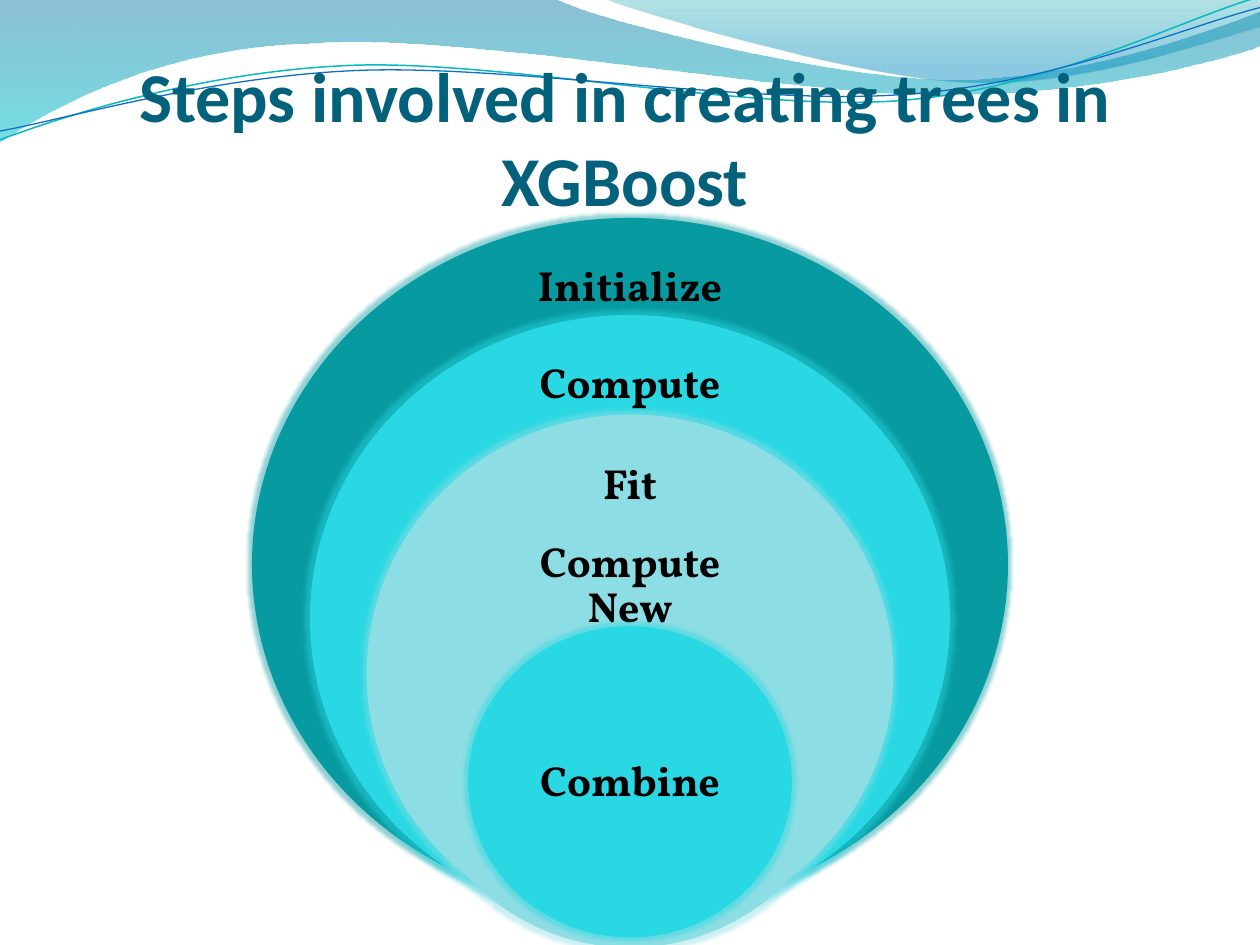
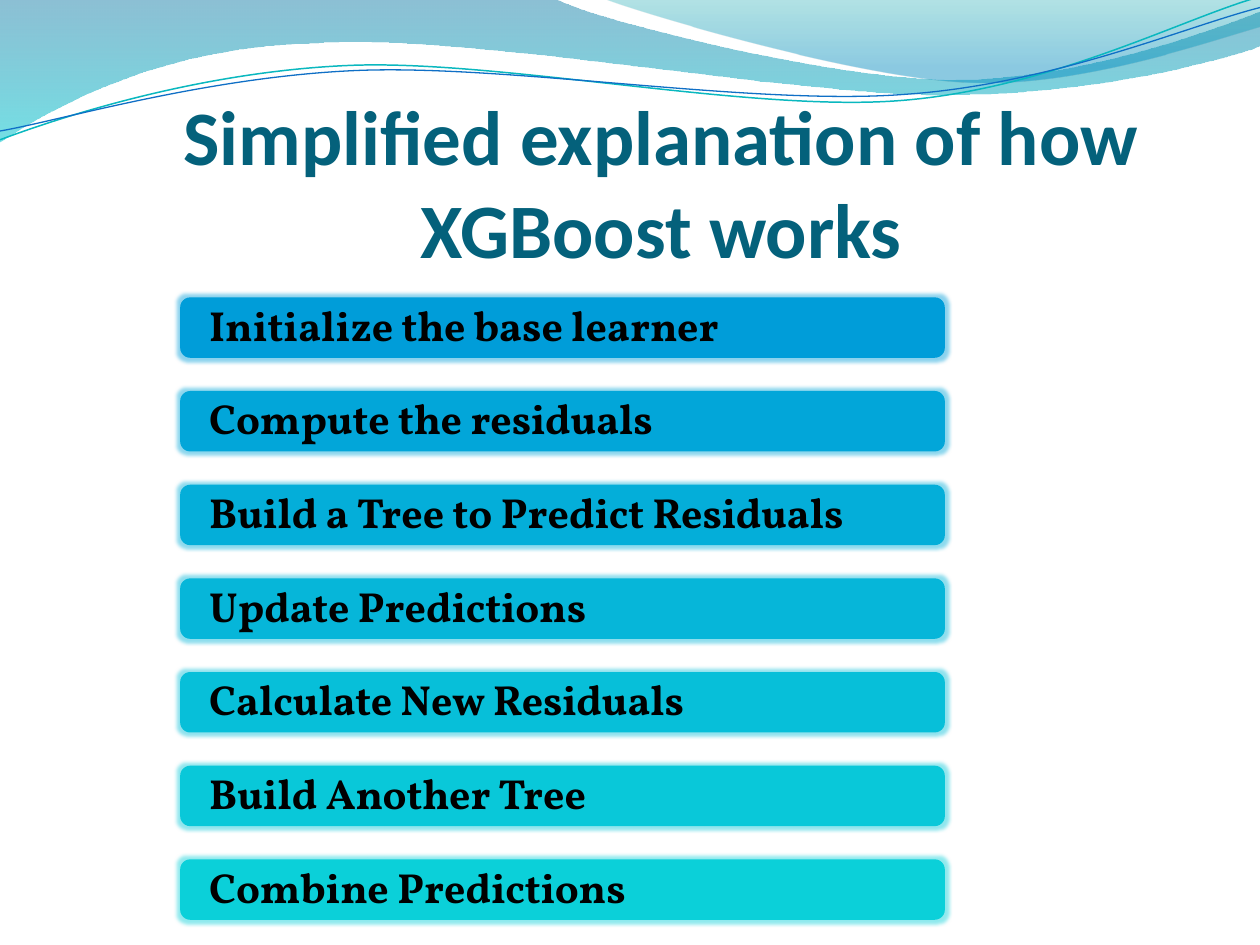
from dataclasses import dataclass
from lxml.etree import SubElement as Sub
from pptx import Presentation
from pptx.dml.color import RGBColor as RGB
from pptx.enum.shapes import MSO_SHAPE as Kind
from pptx.enum.text import MSO_ANCHOR as Anchor, PP_ALIGN as Align
from pptx.oxml.ns import qn
from pptx.util import Inches, Pt


@dataclass(frozen=True)
class Theme:
    title: str = "04617B"
    ink: str = "000000"
    panel: str = "FFFFFF"
    teal: str = "089AA1"
    cyan: str = "2AD8E3"
    pale: str = "8CDEE4"
    first: str = "009DD9"
    last: str = "0BD0D9"
    head_font: str = "Calibri"
    body_font: str = "Vollkorn"
    body_size: int = 24
    panel_alpha: int = 90
    glow: float = 0.06
    glow_alpha: int = 45


T = Theme()

# Gradient stops: position %, colour, opacity %
BAND = [(0, "0074A1", 45), (100, "00C6CF", 55)]
CREST = [(0, "00A1A9", 30), (80, "008BBF", 45)]

# Each row is one segment: two numbers for a line, six for a curve
BAND_PATH = [
    (0, 0), (4.4, -0.01),
    (4.76, 0.17, 6.64, 0.63, 7.58, 0.63),
    (8.53, 0.63, 9.58, 0.26, 10, 0.09),
    (10.01, 0.36),
    (9.83, 0.44, 8.7, 0.76, 7.46, 0.75),
    (6.22, 0.75, 3.82, 0.28, 2.57, 0.34),
    (1.29, 0.36, 0.46, 0.83, -0.01, 1.13),
    (0, 0),
]
CREST_PATH = [
    (4.79, -0.01),
    (5.09, 0.11, 6.82, 0.62, 7.69, 0.65),
    (8.56, 0.69, 9.61, 0.32, 10, 0.21),
    (10, 0), (4.79, -0.01),
]
STRANDS = [
    ("0AB8BF", 0.85, [
        (0, 1.11),
        (0.48, 0.93, 1.58, 0.57, 2.77, 0.52),
        (3.95, 0.47, 5.93, 0.89, 7.13, 0.8),
        (8.33, 0.71, 9.38, 0.15, 9.98, -0.02)]),
    ("0F6FC6", 0.75, [
        (0, 1.04),
        (0.47, 0.96, 1.64, 0.61, 2.83, 0.56),
        (4.03, 0.51, 5.97, 0.84, 7.17, 0.75),
        (8.36, 0.67, 9.41, 0.21, 10, 0.06)]),
]

# Ring: label, colour, top, width, height; label top, width, height.
# Tops are relative to the box of the rings.
RINGS = [
    ("Initialize", T.teal, 0, 6, 5.5, 0.28, 2.25, 0.55),
    ("Compute", T.cyan, 0.77, 5.08, 4.82, 1.05, 2.19, 0.55),
    ("Fit", T.pale, 1.56, 4.18, 4.1, 1.84, 2.17, 0.57),
    ("Compute New", T.pale, 2.3, 3.5, 3.49, 2.61, 1.89, 0.63),
    ("Combine", T.cyan, 3.24, 2.57, 2.47, 3.86, 1.82, 1.24),
]
STEPS = [
    "Initialize the base learner",
    "Compute the residuals",
    "Build a Tree to Predict Residuals",
    "Update Predictions",
    "Calculate New Residuals",
    "Build Another Tree",
    "Combine Predictions",
]


def inch(*nums):
    return [Inches(n) for n in nums]


def tint(parent, color, alpha):
    node = Sub(parent, qn("a:srgbClr"), val=color)
    Sub(node, qn("a:alpha"), val=str(alpha * 1000))


def bend(shape, rows):
    """Turn the line segments of a freeform into curves where a row has six numbers."""
    lines = list(shape._element.iter(qn("a:lnTo")))
    for line, row in zip(lines, rows[1:]):
        if len(row) == 2:
            continue
        line.tag = qn("a:cubicBezTo")
        line.remove(line[0])
        for x, y in zip(row[::2], row[1::2]):
            Sub(line, qn("a:pt"), x=str(Inches(x) - shape.left),
                y=str(Inches(y) - shape.top))


def draw(slide, rows, close):
    points = [inch(*row[-2:]) for row in rows]
    pen = slide.shapes.build_freeform(*points[0])
    pen.add_line_segments(points[1:], close=close)
    shape = pen.convert_to_shape()
    bend(shape, rows)
    shape.shadow.inherit = False
    shape.fill.background()
    return shape


def add_wave(slide, rows, stops):
    shape = draw(slide, rows, True)
    shape.line.fill.background()
    grad = shape.fill._xPr.get_or_change_to_gradFill()
    for child in list(grad):
        grad.remove(child)
    group = Sub(grad, qn("a:gsLst"))
    for place, color, alpha in stops:
        tint(Sub(group, qn("a:gs"), pos=str(place * 1000)), color, alpha)
    Sub(grad, qn("a:lin"), ang="5400000", scaled="0")


def add_waves(slide):
    add_wave(slide, BAND_PATH, BAND)
    add_wave(slide, CREST_PATH, CREST)
    for color, width, rows in STRANDS:
        line = draw(slide, rows, False).line
        line.color.rgb = RGB.from_string(color)
        line.width = Pt(width)


def write(shape, text, font, size, color, align, anchor, pads, gap=1.0):
    """Set the text of a shape; pads are left, top, right, bottom."""
    frame = shape.text_frame
    frame.text = text
    frame.word_wrap = True
    frame.vertical_anchor = anchor
    (frame.margin_left, frame.margin_top,
     frame.margin_right, frame.margin_bottom) = inch(*pads)
    para = frame.paragraphs[0]
    para.alignment = align
    para.line_spacing = gap
    face = para.runs[0].font
    face.name, face.size, face.bold = font, Pt(size), True
    face.color.rgb = RGB.from_string(color)


def add_label(slide, text, box, align, pads):
    shape = slide.shapes.add_textbox(*inch(*box))
    write(shape, text, T.body_font, T.body_size, T.ink, align,
          Anchor.MIDDLE, pads, 0.9)


def add_title(slide, text, box, size):
    shape = slide.shapes.add_textbox(*inch(*box))
    write(shape, text, T.head_font, size, T.title, Align.CENTER,
          Anchor.BOTTOM, (0, 0.05, 0, 0))


def add_plain(slide, kind, box, color):
    shape = slide.shapes.add_shape(kind, *inch(*box))
    shape.fill.solid()
    shape.fill.fore_color.rgb = RGB.from_string(color)
    shape.line.fill.background()
    shape.shadow.inherit = False
    return shape


def add_glow(slide, kind, box, color):
    """Add a plain shape with a soft halo of its own colour."""
    shape = add_plain(slide, kind, box, color)
    effects = shape._element.spPr.find(qn("a:effectLst"))
    tint(Sub(effects, qn("a:glow"), rad=str(Inches(T.glow))),
         color, T.glow_alpha)


def add_panel(slide, box):
    shape = add_plain(slide, Kind.RECTANGLE, box, T.panel)
    fill = shape._element.spPr.find(qn("a:solidFill"))
    Sub(fill[0], qn("a:alpha"), val=str(T.panel_alpha * 1000))


def add_rings(slide, box):
    left, top, width, _ = box
    mid = left + width / 2
    for text, color, y, w, h, text_y, text_w, text_h in RINGS:
        add_glow(slide, Kind.OVAL, (mid - w / 2, top + y, w, h), color)
        add_label(slide, text,
                  (mid - text_w / 2, top + text_y, text_w, text_h),
                  Align.CENTER, (0.19,) * 4)


def blend(start, end, part):
    pairs = zip(RGB.from_string(start), RGB.from_string(end))
    return str(RGB(*(round(a + (b - a) * part) for a, b in pairs)))


def add_steps(slide, box, tall=0.48):
    """Stack the steps, each a bar over the top of a wide panel."""
    left, top, width, height = box
    count = len(STEPS) - 1
    pitch = (height - tall) / count
    for i, text in enumerate(STEPS):
        y = top + i * pitch
        add_panel(slide, (left, y + tall / 2, width, 0.41))
        bar = (left + 0.43, y, width * 0.7, tall)
        add_glow(slide, Kind.ROUNDED_RECTANGLE, bar,
                 blend(T.first, T.last, i / count))
        add_label(slide, text, bar, Align.LEFT, (0.23, 0, 0.23, 0))


def new_slide(deck, title, box, size):
    slide = deck.slides.add_slide(deck.slide_layouts[6])
    add_waves(slide)
    add_title(slide, title, box, size)
    return slide


def main():
    deck = Presentation()
    deck.slide_width, deck.slide_height = inch(10, 7.5)
    rings = new_slide(deck, "Steps involved in creating trees in XGBoost",
                      (0.5, 0.83, 8.92, 0.92), 40)
    add_rings(rings, (2, 1.73, 6, 5.77))
    steps = new_slide(deck, "Simplified explanation of how XGBoost works",
                      (1, 0.92, 8.5, 1.25), 44)
    add_steps(steps, (1, 2.36, 8.67, 4.94))
    deck.save("out.pptx")


if __name__ == "__main__":
    main()
